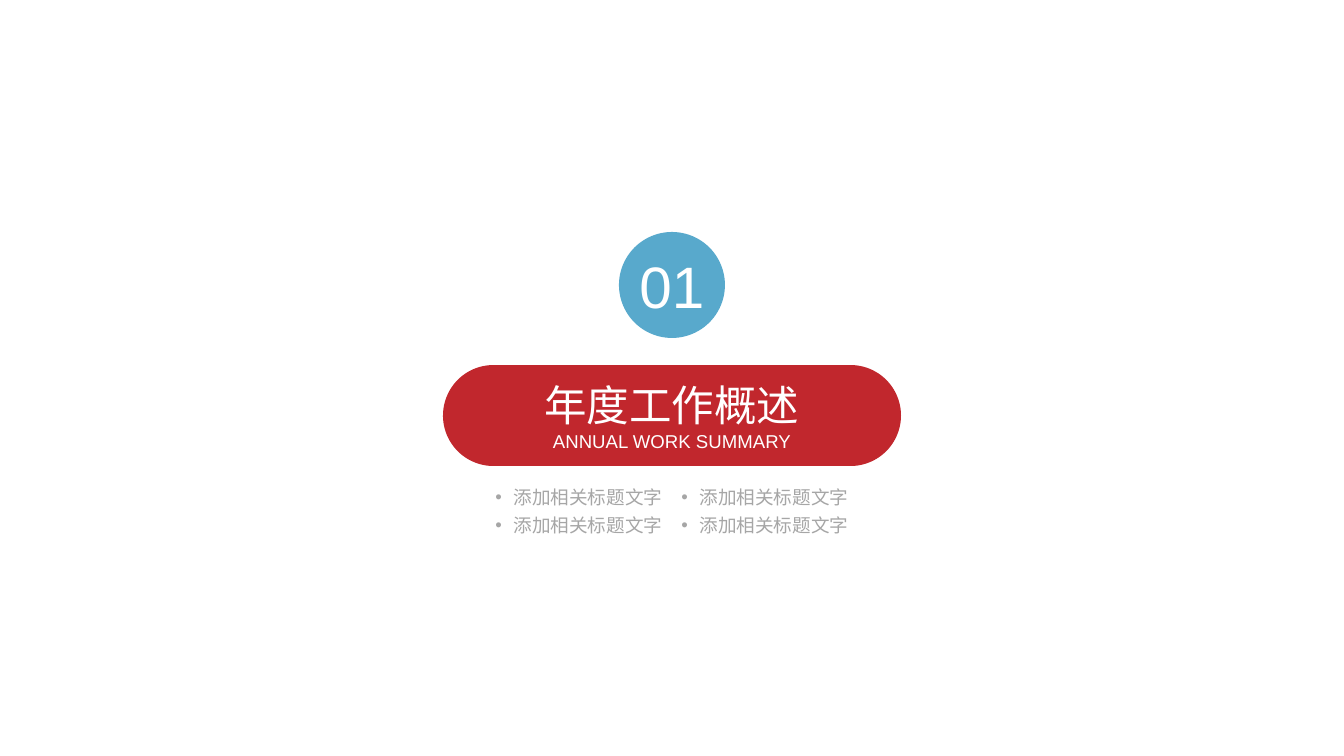
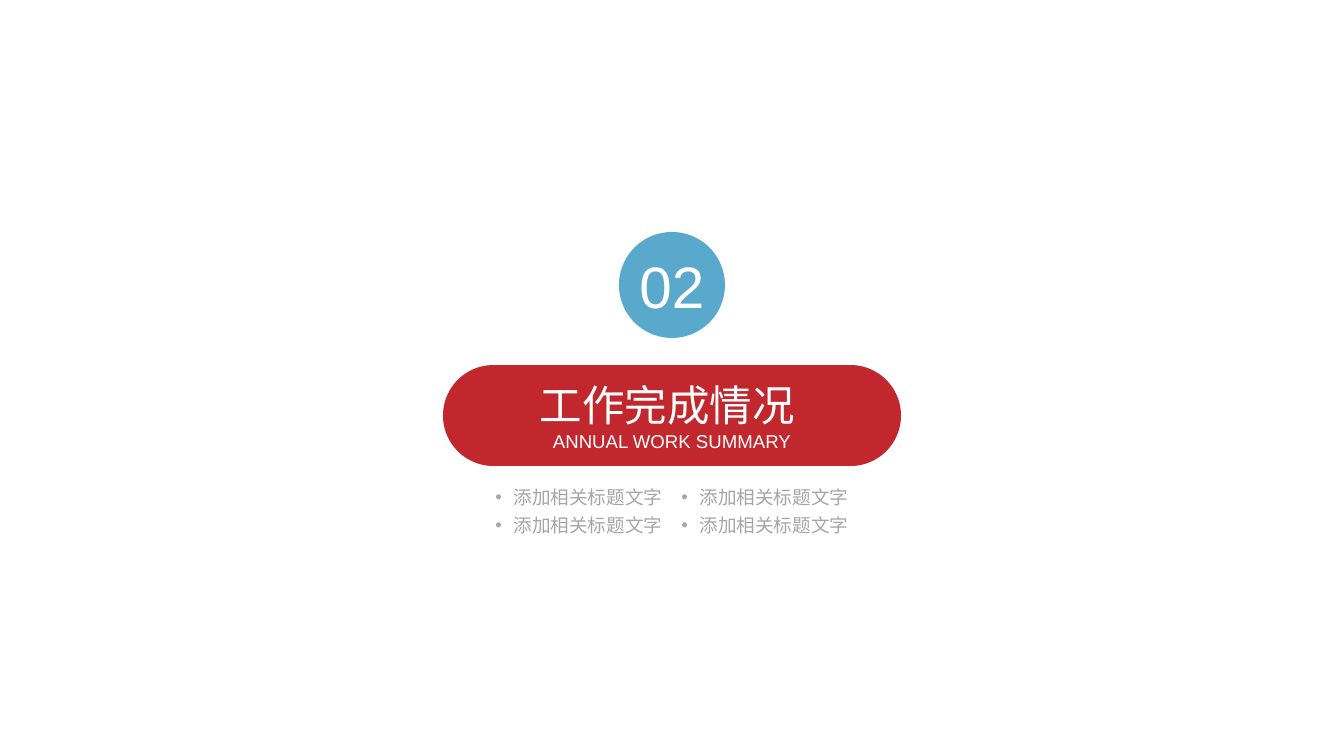
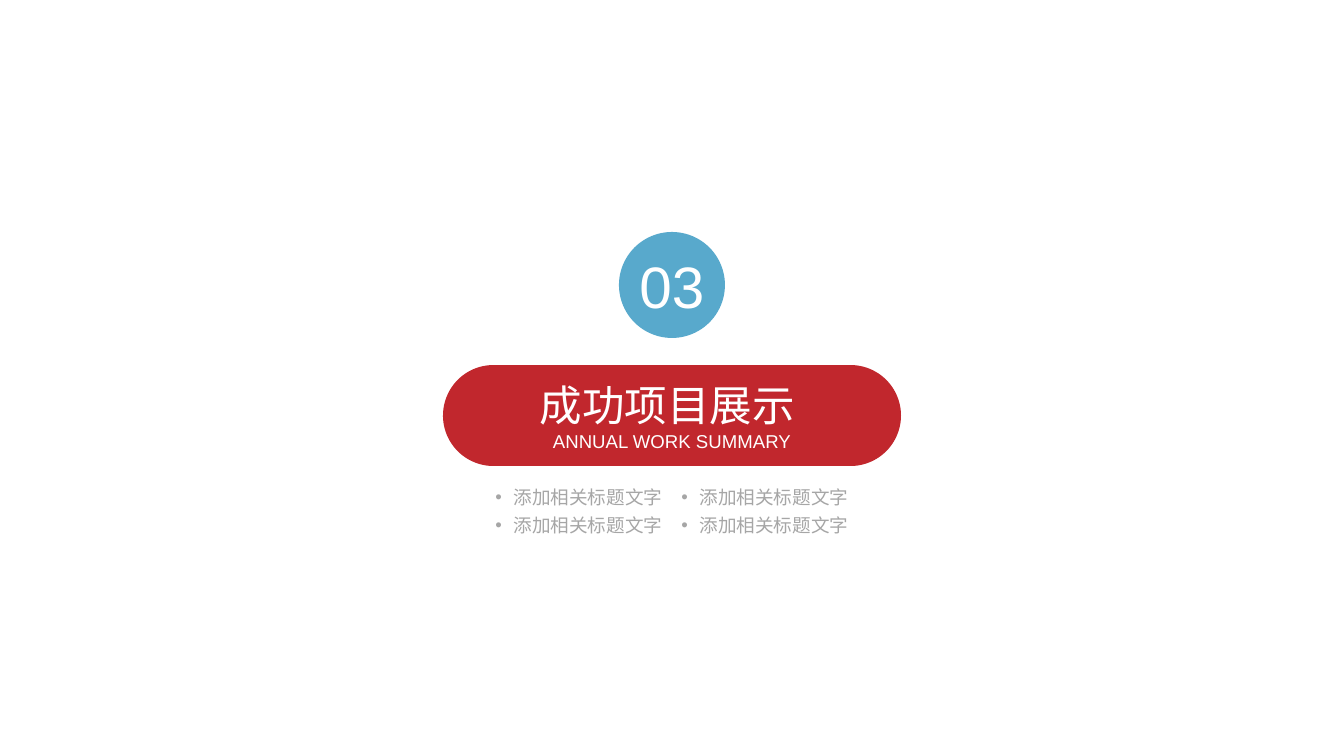
import pptx
import pptx.dml.color
import pptx.enum.shapes
import pptx.enum.text
import pptx.oxml
import pptx.oxml.ns
import pptx.util

SUBTITLE = "ANNUAL WORK SUMMARY"
TITLE_SIZE, SUBTITLE_SIZE = 32, 14
# Each section: number, then title paragraphs as lists of lines (text, size).
SECTIONS = [
    ("01", [[("年度工作概述", TITLE_SIZE)], [(SUBTITLE, SUBTITLE_SIZE)]]),
    ("02", [[("工作完成情况 ", TITLE_SIZE), (SUBTITLE, SUBTITLE_SIZE)]]),
    ("03", [[("成功项目展示 ", TITLE_SIZE), (SUBTITLE, SUBTITLE_SIZE)]]),
]
TOPICS = [["添加相关标题文字"] * 2] * 2

FONT = "Arial"
RED, BLUE, GRAY, WHITE = "C1272D", "58A9CC", "A6A6A6", "FFFFFF"
SLIDE_W, SLIDE_H = 1344, 756
PX = 914400 / 95.6
BULLET_INDENT = 18
TOPIC_W, TOPIC_H, TOPIC_TOP = 168, 23, 486
TOPIC_GAP_X, TOPIC_GAP_Y = 18, 5

SHAPE = pptx.enum.shapes.MSO_SHAPE


def px(n):
    return pptx.util.Emu(round(n * PX))


def rgb(value):
    return pptx.dml.color.RGBColor.from_string(value)


def centered(width):
    """Left edge that centres a width on the slide."""
    return (SLIDE_W - width) // 2


def add_shape(s, kind, top, width, height, fill):
    sp = s.shapes.add_shape(kind, px(centered(width)), px(top), px(width), px(height))
    sp.shadow.inherit = False
    sp.fill.solid()
    sp.fill.fore_color.rgb = rgb(fill)
    sp.line.fill.background()
    return sp


def write(sp, paragraphs, color=WHITE, wrap=True, middle=True, bullet=False):
    """Fill a shape with centred paragraphs, each a list of (text, size) lines."""
    tf = sp.text_frame
    tf.margin_left = tf.margin_right = tf.margin_top = tf.margin_bottom = 0
    tf.word_wrap = wrap
    anchor = pptx.enum.text.MSO_ANCHOR
    tf.vertical_anchor = anchor.MIDDLE if middle else anchor.TOP
    for i, lines in enumerate(paragraphs):
        p = tf.add_paragraph() if i else tf.paragraphs[0]
        p.alignment = pptx.enum.text.PP_ALIGN.CENTER
        for j, (text, size) in enumerate(lines):
            if j:
                p.add_line_break()
            r = p.add_run()
            r.text = text
            r.font.name = FONT
            r.font.size = pptx.util.Pt(size)
            r.font.color.rgb = rgb(color)
        if bullet:
            add_bullet(p)


def add_bullet(p):
    pPr = p._p.get_or_add_pPr()
    pPr.set("marL", str(px(BULLET_INDENT)))
    pPr.set("indent", str(px(-BULLET_INDENT)))
    ns = pptx.oxml.ns.nsdecls("a")
    for xml in (f'<a:buFont {ns} typeface="{FONT}"/>', f'<a:buChar {ns} char="•"/>'):
        pPr.append(pptx.oxml.parse_xml(xml))


def add_text(s, left, top, width, height, paragraphs, **style):
    sp = s.shapes.add_textbox(px(left), px(top), px(width), px(height))
    write(sp, paragraphs, **style)


def add_topics(s):
    for row, topics in enumerate(TOPICS):
        left = centered(len(topics) * (TOPIC_W + TOPIC_GAP_X) - TOPIC_GAP_X)
        top = TOPIC_TOP + row * (TOPIC_H + TOPIC_GAP_Y)
        for col, topic in enumerate(topics):
            add_text(s, left + col * (TOPIC_W + TOPIC_GAP_X), top, TOPIC_W, TOPIC_H,
                     [[(topic, 14)]], color=GRAY, wrap=False, middle=False, bullet=True)


def add_section(prs, number, title):
    s = prs.slides.add_slide(prs.slide_layouts[6])
    pill = add_shape(s, SHAPE.ROUNDED_RECTANGLE, 365, 458, 101, RED)
    pill.adjustments[0] = 0.5
    badge = add_shape(s, SHAPE.OVAL, 232, 106, 106, BLUE)
    write(badge, [[(number, 44)]])
    add_text(s, centered(266), 379, 266, 74, title)
    add_topics(s)


def main():
    prs = pptx.Presentation()
    prs.slide_width, prs.slide_height = px(SLIDE_W), px(SLIDE_H)
    for number, title in SECTIONS:
        add_section(prs, number, title)
    prs.save("out.pptx")


if __name__ == "__main__":
    main()
